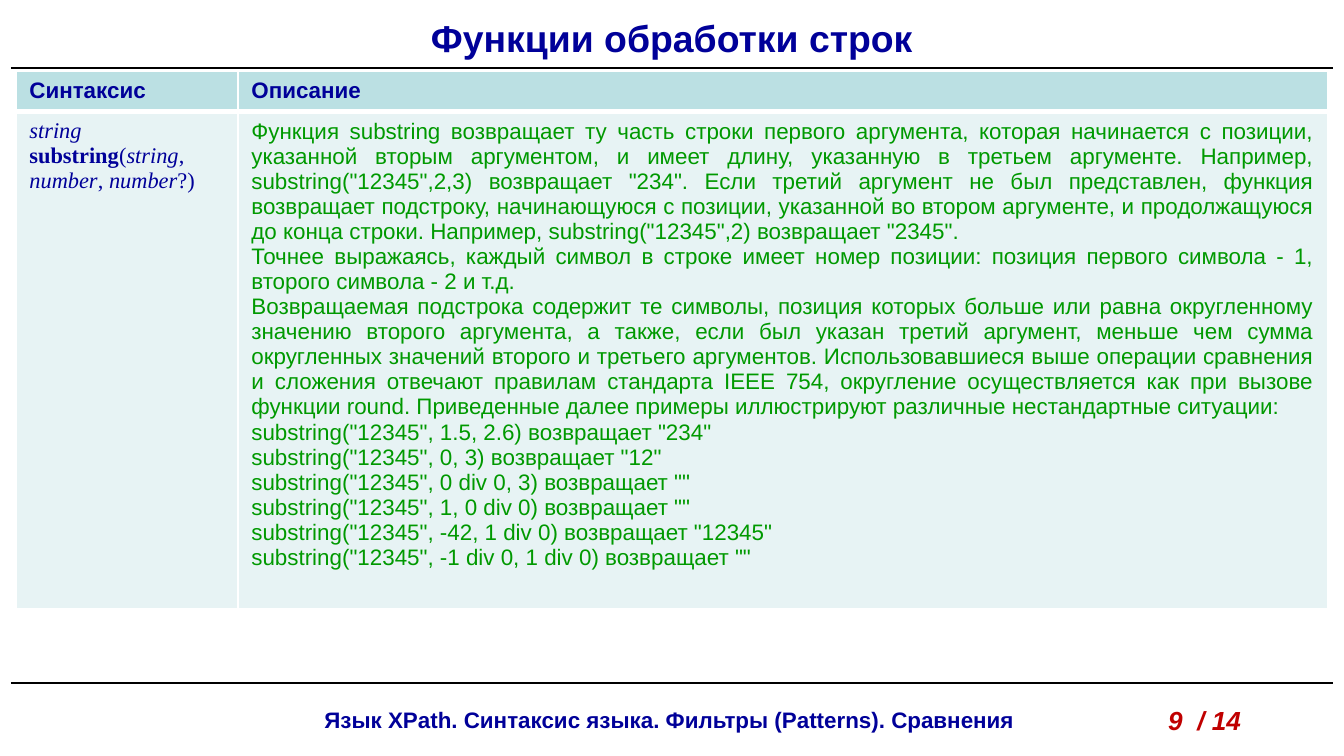
from dataclasses import dataclass

from lxml import etree
from pptx import Presentation
from pptx import util as u
from pptx.dml.color import RGBColor
from pptx.enum import shapes, text
from pptx.oxml.ns import qn

PX = 914400 / 134.4
WIDTH, HEIGHT = 1344, 756

NAVY = RGBColor(0x00, 0x00, 0x99)
GREEN = RGBColor(0x00, 0x99, 0x00)
RED = RGBColor(0xC0, 0x00, 0x00)
BLACK = RGBColor(0x00, 0x00, 0x00)
WHITE = RGBColor(0xFF, 0xFF, 0xFF)
HEADER_FILL = RGBColor(0xBB, 0xE0, 0xE3)
BODY_FILL = RGBColor(0xE7, 0xF3, 0xF4)
SANS, SERIF = "Arial", "Times New Roman"
LEFT, CENTER, JUSTIFY = text.PP_ALIGN.LEFT, text.PP_ALIGN.CENTER, text.PP_ALIGN.JUSTIFY


@dataclass(frozen=True)
class Span:
    words: str
    color: RGBColor = NAVY
    size: int = 12
    font: str = SANS
    bold: bool = False
    italic: bool = False


@dataclass(frozen=True)
class Label:
    left: int
    top: int
    width: int
    height: int
    span: Span
    align: text.PP_ALIGN = CENTER


@dataclass(frozen=True)
class Cell:
    paragraphs: list[list[Span]]
    fill: RGBColor
    bottom_border: int = 1
    align: text.PP_ALIGN = LEFT


LABELS = [
    Label(168, 700, 1003, 40,
          Span("Язык XPath. Синтаксис языка. Фильтры (Patterns). Сравнения", bold=True)),
    Label(1155, 698, 137, 45, Span("9  / 14", RED, 14, bold=True, italic=True), LEFT),
    Label(0, 8, WIDTH, 60, Span("Функции обработки строк", size=20, bold=True)),
]
RULE_LEFT, RULE_RIGHT = 11, 1333
RULE_TOPS = [683, 68]

TABLE_LEFT, TABLE_TOP = 16, 71
COLUMN_WIDTHS = [222, 1090]
ROW_HEIGHTS = [41, 497]


def serif(words: str, **style: bool) -> Span:
    return Span(words, font=SERIF, **style)


SIGNATURE = [
    serif("string ", italic=True),
    serif("substring", bold=True),
    serif("("),
    serif("string", italic=True),
    serif(", "),
    serif("number", italic=True),
    serif(", "),
    serif("number", italic=True),
    serif("?)"),
]
DESCRIPTION = [
    'Функция substring возвращает ту часть строки первого аргумента, которая начинается '
    'с позиции, указанной вторым аргументом, и имеет длину, указанную в третьем аргументе. '
    'Например, substring("12345",2,3) возвращает "234". Если третий аргумент не был '
    'представлен, функция возвращает подстроку, начинающуюся с позиции, указанной во втором '
    'аргументе, и продолжащуюся до конца строки. Например, substring("12345",2) возвращает '
    '"2345".',
    'Точнее выражаясь, каждый символ в строке имеет номер позиции: позиция первого символа '
    '- 1, второго символа - 2 и т.д.',
    'Возвращаемая подстрока содержит те символы, позиция которых больше или равна '
    'округленному значению второго аргумента, а также, если был указан третий аргумент, '
    'меньше чем сумма округленных значений второго и третьего аргументов. Использовавшиеся '
    'выше операции сравнения и сложения отвечают правилам стандарта IEEE 754, округление '
    'осуществляется как при вызове функции round. Приведенные далее примеры иллюстрируют '
    'различные нестандартные ситуации:',
]
EXAMPLES = [
    ("1.5, 2.6", "234"),
    ("0, 3", "12"),
    ("0 div 0, 3", ""),
    ("1, 0 div 0", ""),
    ("-42, 1 div 0", "12345"),
    ("-1 div 0, 1 div 0", ""),
]
EXPLANATION = DESCRIPTION + [
    f'substring("12345", {arguments}) возвращает "{result}"' for arguments, result in EXAMPLES
]
CELLS = [
    [Cell([[Span(heading, bold=True)]], HEADER_FILL, bottom_border=3)
     for heading in ("Синтаксис", "Описание")],
    [Cell([SIGNATURE], BODY_FILL),
     Cell([[Span(line, GREEN)] for line in EXPLANATION], BODY_FILL, align=JUSTIFY)],
]


def px(length: int) -> u.Emu:
    return u.Emu(round(length * PX))


def add_span(paragraph, span: Span) -> None:
    run = paragraph.add_run()
    run.text = span.words
    font = run.font
    font.name, font.size = span.font, u.Pt(span.size)
    font.bold, font.italic = span.bold, span.italic
    font.color.rgb = span.color


def add_label(slide, label: Label) -> None:
    box = slide.shapes.add_textbox(px(label.left), px(label.top), px(label.width), px(label.height))
    frame = box.text_frame
    frame.word_wrap = True
    frame.vertical_anchor = text.MSO_ANCHOR.MIDDLE
    paragraph = frame.paragraphs[0]
    paragraph.alignment = label.align
    add_span(paragraph, label.span)


def add_rule(slide, top: int) -> None:
    rule = slide.shapes.add_connector(
        shapes.MSO_CONNECTOR.STRAIGHT, px(RULE_LEFT), px(top), px(RULE_RIGHT), px(top))
    rule.line.color.rgb = BLACK
    rule.line.width = u.Pt(0.75)
    etree.SubElement(rule._element.spPr, qn("a:effectLst"))


def set_borders(table_cell, bottom: int) -> None:
    """Put white edges before the fill, as the schema orders them."""
    properties = table_cell._tc.get_or_add_tcPr()
    for position, (side, points) in enumerate(
            [("lnL", 1), ("lnR", 1), ("lnT", 1), ("lnB", bottom)]):
        edge = etree.Element(qn(f"a:{side}"), w=str(u.Pt(points)))
        fill = etree.SubElement(edge, qn("a:solidFill"))
        etree.SubElement(fill, qn("a:srgbClr"), val=str(WHITE))
        properties.insert(position, edge)


def fill_cell(table_cell, cell: Cell) -> None:
    table_cell.fill.solid()
    table_cell.fill.fore_color.rgb = cell.fill
    set_borders(table_cell, cell.bottom_border)
    frame = table_cell.text_frame
    for index, spans in enumerate(cell.paragraphs):
        paragraph = frame.add_paragraph() if index else frame.paragraphs[0]
        paragraph.alignment = cell.align
        for span in spans:
            add_span(paragraph, span)


def add_function_table(slide) -> None:
    table = slide.shapes.add_table(
        len(ROW_HEIGHTS), len(COLUMN_WIDTHS), px(TABLE_LEFT), px(TABLE_TOP),
        px(sum(COLUMN_WIDTHS)), px(sum(ROW_HEIGHTS))).table
    for column, width in zip(table.columns, COLUMN_WIDTHS):
        column.width = px(width)
    for row, height, cells in zip(table.rows, ROW_HEIGHTS, CELLS):
        row.height = px(height)
        for table_cell, cell in zip(row.cells, cells):
            fill_cell(table_cell, cell)


def main() -> None:
    deck = Presentation()
    deck.slide_width, deck.slide_height = px(WIDTH), px(HEIGHT)
    slide = deck.slides.add_slide(deck.slide_layouts[6])
    for top in RULE_TOPS:
        add_rule(slide, top)
    for label in LABELS:
        add_label(slide, label)
    add_function_table(slide)
    deck.save("out.pptx")


if __name__ == "__main__":
    main()
